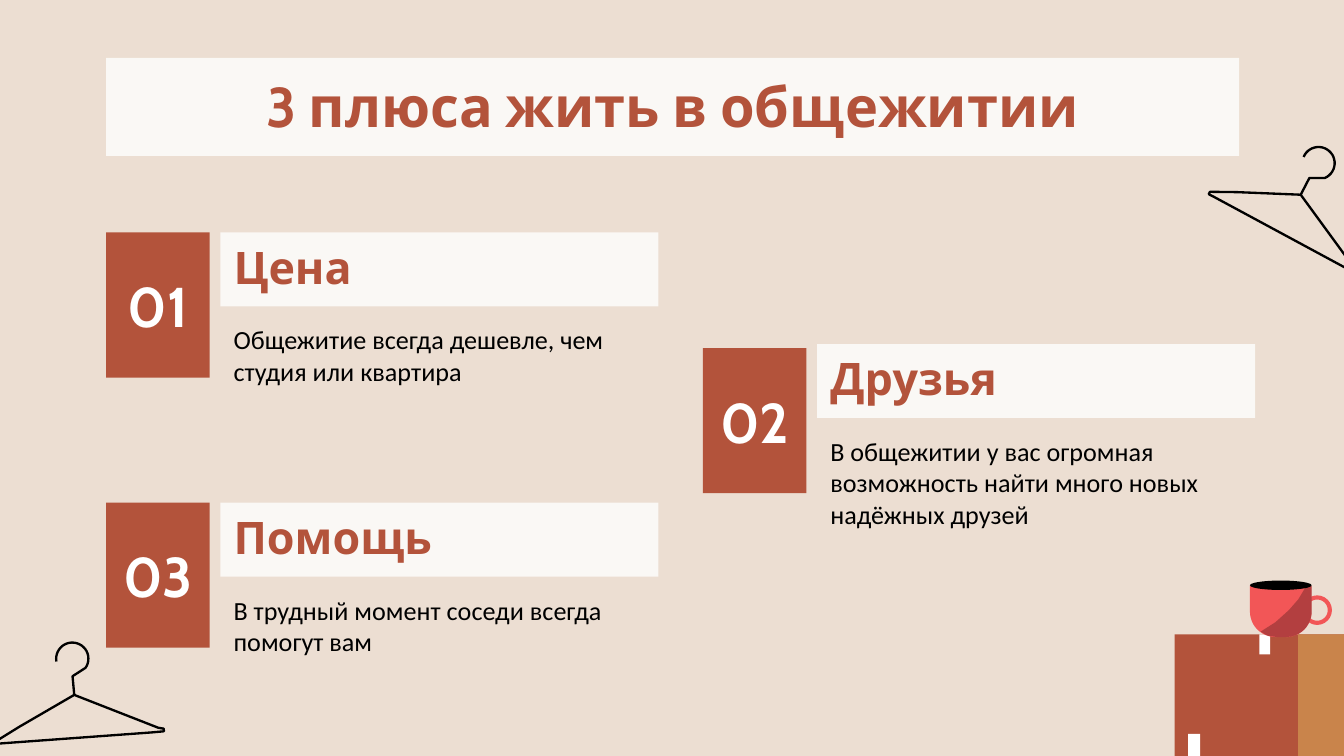
import math

from lxml import etree
from pptx import Presentation
from pptx.dml.color import RGBColor
from pptx.enum.shapes import MSO_SHAPE
from pptx.enum.text import MSO_ANCHOR, MSO_AUTO_SIZE, PP_ALIGN
from pptx.oxml.ns import qn
from pptx.util import Inches, Pt

RECTANGLE, OVAL, DONUT = MSO_SHAPE.RECTANGLE, MSO_SHAPE.OVAL, MSO_SHAPE.DONUT
ROUND_TOP = MSO_SHAPE.ROUND_2_SAME_RECTANGLE
TOP, MIDDLE, BOTTOM = MSO_ANCHOR.TOP, MSO_ANCHOR.MIDDLE, MSO_ANCHOR.BOTTOM
LEFT, CENTER = PP_ALIGN.LEFT, PP_ALIGN.CENTER

COLORS = {
    "background": "ECDED2",
    "brick": "B3533B",
    "ochre": "C9844B",
    "cup": "F25657",
    "white": "FFFFFF",
    "black": "000000",
}


def paint(shape, color, opacity=100):
    """Fill a shape, without outline or shadow."""
    shape.fill.solid()
    shape.fill.fore_color.rgb = RGBColor.from_string(COLORS[color])
    if opacity < 100:
        rgb = shape._element.spPr.find(".//" + qn("a:srgbClr"))
        etree.SubElement(rgb, qn("a:alpha"), val=str(opacity * 1000))
    shape.line.fill.background()
    if not shape.is_placeholder:
        shape.shadow.inherit = False


def write(shape, text, font, size, color, bold, align, anchor):
    """Put one formatted paragraph into a shape."""
    frame = shape.text_frame
    frame.word_wrap = True
    frame.auto_size = MSO_AUTO_SIZE.NONE
    frame.vertical_anchor = anchor
    frame.margin_left = frame.margin_right = Inches(0.1)
    frame.margin_top = frame.margin_bottom = Inches(0.1)
    frame.text = text
    paragraph = frame.paragraphs[0]
    paragraph.alignment = align
    paragraph.font.name = font
    paragraph.font.size = Pt(size)
    paragraph.font.bold = bold
    paragraph.font.color.rgb = RGBColor.from_string(COLORS[color])


# 16:9 slide
presentation = Presentation()
presentation.slide_width = Inches(10)
presentation.slide_height = Inches(10) * 9 // 16
slide = presentation.slides.add_slide(presentation.slide_layouts[5])
shapes = slide.shapes
slide.background.fill.solid()
slide.background.fill.fore_color.rgb = RGBColor.from_string(COLORS["background"])

# Clothes hangers: hook arc, neck, then the triangle, around a common centre
hook = [
    (0.12 * math.cos(math.radians(angle)), -0.24 + 0.12 * math.sin(math.radians(angle)))
    for angle in range(175, 401, 9)
]
neck = (-0.01, 0.03)
arms = [(0.59, 0.33), (0.63, 0.34), (0.63, 0.36), (0.54, 0.36),
        (-0.57, 0.34), (-0.62, 0.34), (-0.62, 0.32), (-0.44, 0.23)]
hanger_points = hook + [(-0.01, -0.11), neck] + arms + [neck]

for center_x, center_y, rotation in [(9.7, 1.43, 27.3), (0.56, 5.14, -5.2)]:
    points = [(Inches(center_x + x), Inches(center_y + y)) for x, y in hanger_points]
    builder = shapes.build_freeform(*points[0])
    builder.add_line_segments(points[1:], close=False)
    hanger = builder.convert_to_shape()
    hanger.fill.background()
    hanger.line.color.rgb = RGBColor.from_string(COLORS["black"])
    hanger.line.width = Pt(1.25)
    hanger.shadow.inherit = False
    hanger.rotation = rotation

# Moving box, then the cup standing on it
decorations = [
    (RECTANGLE, 8.74, 4.72, 1.38, 0.92, "brick"),
    (RECTANGLE, 9.66, 4.72, 0.47, 0.92, "ochre"),
    (RECTANGLE, 9.37, 4.72, 0.08, 0.15, "white"),
    (RECTANGLE, 8.84, 5.46, 0.09, 0.18, "white"),
    (DONUT, 9.69, 4.43, 0.22, 0.22, "cup"),
    (ROUND_TOP, 9.3, 4.36, 0.46, 0.38, "cup"),
]
for kind, left, top, width, height, color in decorations:
    shape = shapes.add_shape(kind, Inches(left), Inches(top), Inches(width), Inches(height))
    paint(shape, color)
    if kind == DONUT:
        shape.adjustments[0] = 0.14
    elif kind == ROUND_TOP:
        shape.adjustments[0] = 0.5
        shape.rotation = 180

# Shaded side of the cup and its dark rim
corner = [
    (9.57 + 0.19 * math.cos(math.radians(angle)), 4.55 + 0.19 * math.sin(math.radians(angle)))
    for angle in range(90, -1, -10)
]
shade_points = [(9.66, 4.46), (9.59, 4.54), (9.49, 4.63), (9.38, 4.7),
                (9.43, 4.73), (9.5, 4.74)] + corner + [(9.76, 4.36)]
builder = shapes.build_freeform(Inches(9.72), Inches(4.36))
builder.add_line_segments([(Inches(x), Inches(y)) for x, y in shade_points])
paint(builder.convert_to_shape(), "black", 26)
rim = shapes.add_shape(OVAL, Inches(9.3), Inches(4.32), Inches(0.46), Inches(0.07))
paint(rim, "black")

# Title
title = shapes.title
title.left, title.top = Inches(0.79), Inches(0.43)
title.width, title.height = Inches(8.43), Inches(0.73)
paint(title, "white", 79)
write(title, "3 плюса жить в общежитии", "Cabin", 30, "brick", True, CENTER, TOP)

# Numbered advantages: number tile, heading bar, description
advantages = [
    (0.79, 1.73, 1.73, "Цена", "Общежитие всегда дешевле, чем студия или квартира"),
    (5.23, 2.59, 2.56, "Друзья",
     "В общежитии у вас огромная возможность найти много новых надёжных друзей"),
    (0.79, 3.74, 3.74, "Помощь", "В трудный момент соседи всегда помогут вам"),
]
for number, (left, tile_top, bar_top, heading, description) in enumerate(advantages, 1):
    text_left = Inches(left + 0.85)
    tile = shapes.add_shape(RECTANGLE, Inches(left), Inches(tile_top), Inches(0.77), Inches(1.08))
    paint(tile, "brick")
    write(tile, f"{number:02d}", "Cabin", 30, "white", True, CENTER, MIDDLE)

    bar = shapes.add_shape(RECTANGLE, text_left, Inches(bar_top), Inches(3.26), Inches(0.55))
    paint(bar, "white", 79)
    write(bar, heading, "Cabin", 24, "brick", True, LEFT, BOTTOM)

    body = shapes.add_textbox(text_left, Inches(bar_top + 0.58), Inches(3.26), Inches(0.6))
    write(body, description, "Calibri", 14, "black", False, LEFT, TOP)

presentation.save("out.pptx")
